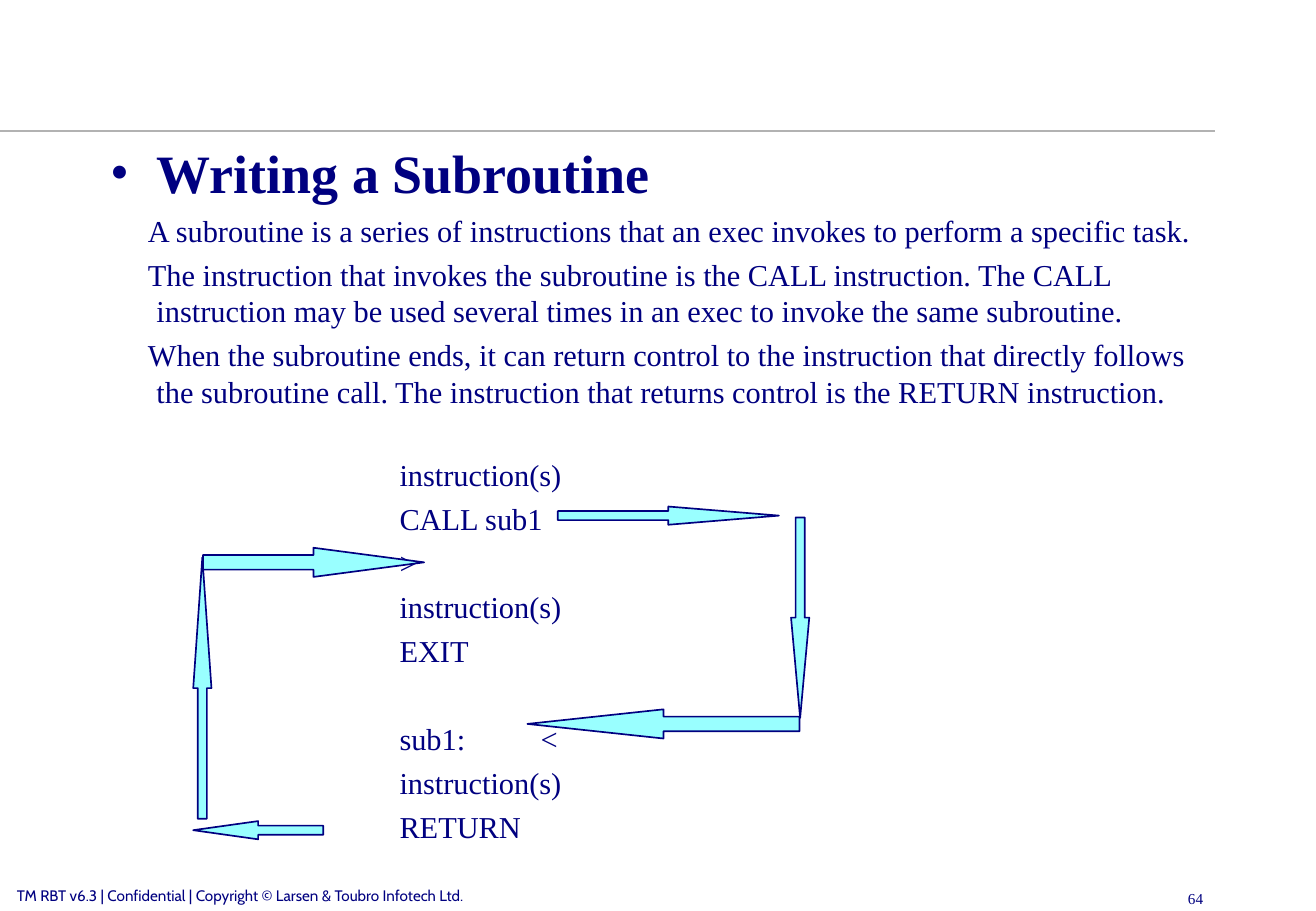
from lxml.etree import SubElement as Sub
from pptx import Presentation
from pptx.dml.color import RGBColor as RGB
from pptx.enum.shapes import MSO_CONNECTOR as Link, MSO_SHAPE as Kind
from pptx.enum.text import PP_ALIGN as Align
from pptx.oxml.ns import qn
from pptx.util import Inches, Pt

HUES = {"navy": "000080", "aqua": "99FFFF", "gray": "B2B2B2"}
SERIF = "Times New Roman"
CELL = Inches(0.01)
COLS, ROWS = 1083, 750

deck = Presentation()
deck.slide_width, deck.slide_height = COLS * CELL, ROWS * CELL
slide = deck.slides.add_slide(deck.slide_layouts[6])


def add_box(left, top, wide, high):
    box = slide.shapes.add_textbox(*[n * CELL for n in (left, top, wide, high)])
    box.text_frame.word_wrap = True
    return box.text_frame


def style(para, text, size, face=SERIF, bold=False):
    para.text = text
    for run in para.runs:
        run.font.size, run.font.name, run.font.bold = Pt(size), face, bold
        run.font.color.rgb = RGB.from_string(HUES["navy"])


rule = slide.shapes.add_connector(Link.STRAIGHT, 0, 108 * CELL, 1000 * CELL, 108 * CELL)
rule.line.color.rgb = RGB.from_string(HUES["gray"])
rule.line.width = Pt(1)
Sub(rule._element.spPr, qn("a:effectLst"))

foot = add_box(4, 725, 471, 20)
style(foot.paragraphs[0], "TM RBT v6.3 | Confidential | Copyright © Larsen & Toubro Infotech Ltd.", 9, "Cabin")
page = add_box(767, 727, 233, 20)
style(page.paragraphs[0], "64", 9)
page.paragraphs[0].alignment = Align.RIGHT

body = add_box(81, 110, 920, 600)
title = body.paragraphs[0]
style(title, "Writing a Subroutine", 32, bold=True)
title.line_spacing = Pt(38.4)
props = title._p.get_or_add_pPr()
props.set("marL", str(38 * CELL))
props.set("indent", str(-38 * CELL))
Sub(Sub(props, qn("a:buClr")), qn("a:srgbClr"), val=HUES["navy"])
Sub(props, qn("a:buFont"), typeface=SERIF)
Sub(props, qn("a:buChar"), char="•")

prose = [
    "A subroutine is a series of instructions that an exec invokes to perform a specific task.",
    "The instruction that invokes the subroutine is the CALL instruction. The CALL instruction may be used several times in an exec to invoke the same subroutine.",
    "When the subroutine ends, it can return control to the instruction that directly follows the subroutine call. The instruction that returns control is the RETURN instruction.",
]
for text in prose:
    para = body.add_paragraph()
    style(para, text, 18)
    para.line_spacing, para.space_before = Pt(21.6), Pt(4.5)
    props = para._p.get_or_add_pPr()
    props.set("marL", str(38 * CELL))
    props.set("indent", str(-7 * CELL))

code = [
    ("instruction(s)", 27.6),
    ("CALL sub1", 4.5),
    (">", 4.5),
    ("instruction(s)", 4.5),
    ("EXIT", 4.5),
    ("sub1:\t<", 30.6),
    ("instruction(s)", 4.5),
    ("RETURN", 4.5),
]
for text, gap in code:
    para = body.add_paragraph()
    style(para, "\t" + text, 18)
    para.line_spacing, para.space_before = Pt(21.6), Pt(gap)
    tabs = Sub(para._p.get_or_add_pPr(), qn("a:tabLst"))
    for stop in (238, 354):
        Sub(tabs, qn("a:tab"), pos=str(stop * CELL), algn="l")

arrows = [
    (Kind.RIGHT_ARROW, 459, 417, 182, 15),
    (Kind.DOWN_ARROW, 651, 426, 15, 165),
    (Kind.LEFT_ARROW, 434, 584, 224, 24),
    (Kind.LEFT_ARROW, 159, 676, 107, 15),
    (Kind.UP_ARROW, 159, 459, 15, 215),
    (Kind.RIGHT_ARROW, 167, 451, 182, 24),
]
for kind, *area in arrows:
    arrow = slide.shapes.add_shape(kind, *[n * CELL for n in area])
    thin, long = sorted(area[2:])
    arrow.adjustments[0] = 0.5
    arrow.adjustments[1] = long / thin / 2
    arrow.shadow.inherit = False
    arrow.fill.solid()
    arrow.fill.fore_color.rgb = RGB.from_string(HUES["aqua"])
    arrow.line.color.rgb = RGB.from_string(HUES["navy"])
    arrow.line.width = Pt(1)

deck.save("out.pptx")
